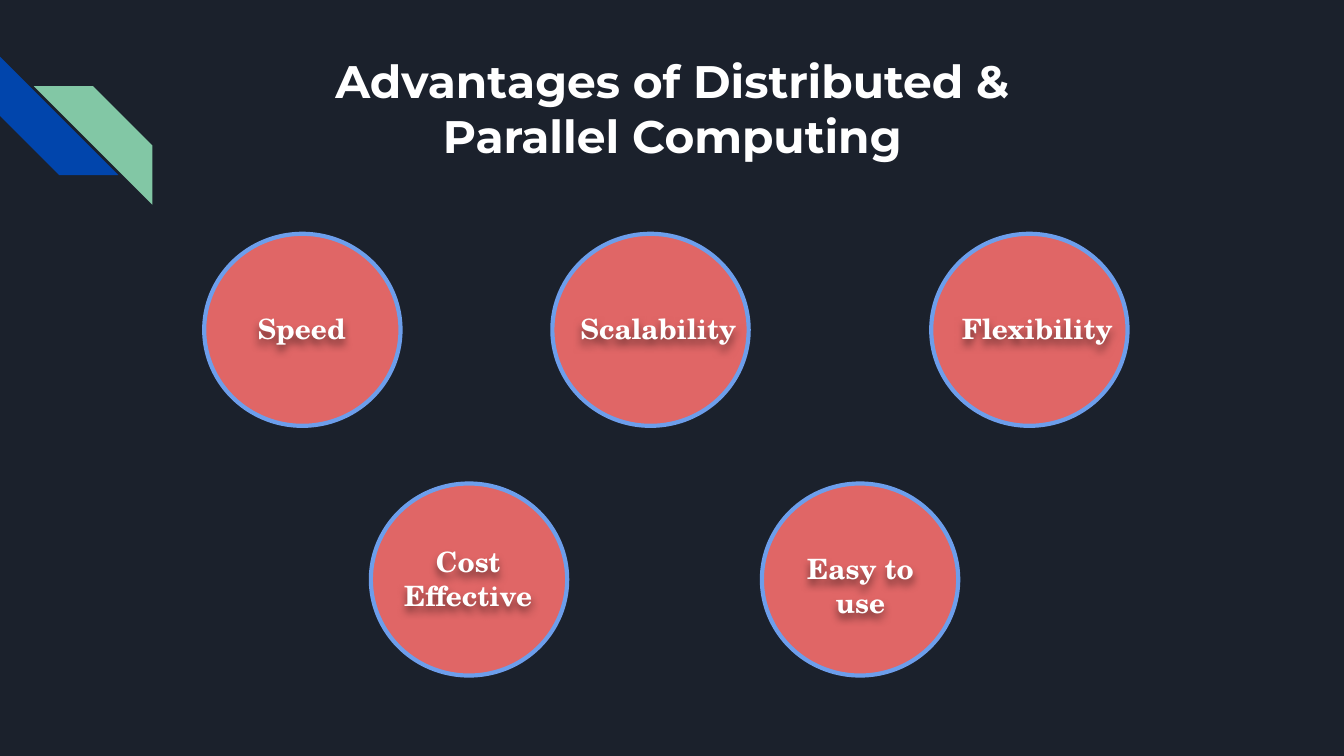
from lxml import etree
from pptx import Presentation
from pptx.dml.color import RGBColor
from pptx.enum.shapes import MSO_SHAPE
from pptx.enum.text import MSO_ANCHOR, PP_ALIGN
from pptx.oxml import parse_xml
from pptx.util import Cm, Pt

NAVY = RGBColor(0x1B, 0x21, 0x2C)
BLUE = RGBColor(0x01, 0x45, 0xAC)
GREEN = RGBColor(0x82, 0xC7, 0xA5)
RED = RGBColor(0xE0, 0x66, 0x66)
SKY = RGBColor(0x6D, 0x9E, 0xEB)
WHITE = RGBColor(0xFF, 0xFF, 0xFF)

CIRCLE_W, CIRCLE_H = 3.71, 3.63
TOP_ROW, BOTTOM_ROW = 4.42, 9.14
ONE_LINE, TWO_LINES = 1.14, 1.8

# circle left and top, lines, label box relative to the circle, alignment
ADVANTAGES = [
    (3.86, TOP_ROW, ["Speed"], (0.76, 1.22, 2.21, ONE_LINE), PP_ALIGN.LEFT),
    (10.44, TOP_ROW, ["Scalability"], (0.28, 1.22, 3.51, ONE_LINE), PP_ALIGN.LEFT),
    (17.6, TOP_ROW, ["Flexibility"], (0.33, 1.22, 3.51, ONE_LINE), PP_ALIGN.LEFT),
    (7.01, BOTTOM_ROW, ["Cost", "Effective"], (0.28, 0.91, 3.12, TWO_LINES), PP_ALIGN.CENTER),
    (14.4, BOTTOM_ROW, ["Easy to use"], (0.38, 1.04, 2.97, TWO_LINES), PP_ALIGN.CENTER),
]

SHADOW = (
    '<a:effectLst xmlns:a="http://schemas.openxmlformats.org/drawingml/2006/main">'
    '<a:outerShdw blurRad="57150" dist="38100" dir="5400000" algn="bl" rotWithShape="0">'
    '<a:srgbClr val="000000"><a:alpha val="50000"/></a:srgbClr>'
    '</a:outerShdw></a:effectLst>'
)


def add_text(slide, left, top, width, height, lines, font_name, size, align):
    box = slide.shapes.add_textbox(Cm(left), Cm(top), Cm(width), Cm(height))
    frame = box.text_frame
    frame.word_wrap = True
    frame.vertical_anchor = MSO_ANCHOR.TOP
    frame.margin_left = frame.margin_right = Cm(0.25)
    frame.margin_top = frame.margin_bottom = Cm(0.25)
    frame.text = "\n".join(lines)
    for paragraph in frame.paragraphs:
        paragraph.alignment = align
        font = paragraph.font
        font.name, font.size, font.bold = font_name, Pt(size), True
        font.color.rgb = WHITE
    return box


def add_corner_stripes(slide, left, top, side):
    """Two diagonal stripes, the green one set off to the lower right."""
    for color, dx, dy in [(BLUE, 0, 0), (GREEN, 0.64, 0.56)]:
        stripe = slide.shapes.add_shape(
            MSO_SHAPE.DIAGONAL_STRIPE, Cm(left + dx), Cm(top + dy), Cm(side), Cm(side))
        stripe.adjustments[0] = 0.5
        stripe.shadow.inherit = False
        stripe.fill.solid()
        stripe.fill.fore_color.rgb = color
        stripe.line.fill.background()
        if color == BLUE:
            stripe.rotation = 270
        else:
            stripe._element.spPr.xfrm.set("flipH", "1")


def add_advantage(slide, left, top, lines, label_box, align):
    circle = slide.shapes.add_shape(
        MSO_SHAPE.OVAL, Cm(left), Cm(top), Cm(CIRCLE_W), Cm(CIRCLE_H))
    circle.shadow.inherit = False
    circle.fill.solid()
    circle.fill.fore_color.rgb = RED
    circle.line.color.rgb = SKY
    circle.line.width = Pt(2.25)
    dx, dy, width, height = label_box
    label = add_text(slide, left + dx, top + dy, width, height,
                     lines, "TeX Gyre Schola", 15, align)
    label._element.spPr.append(parse_xml(SHADOW))


def main():
    prs = Presentation()
    prs.slide_width, prs.slide_height = Cm(25.4), Cm(14.29)
    slide = prs.slides.add_slide(prs.slide_layouts[6])
    slide.background.fill.solid()
    slide.background.fill.fore_color.rgb = NAVY

    add_corner_stripes(slide, 0, 1.07, 2.24)
    add_text(slide, 5.49, 0.76, 14.43, 2.54,
             ["Advantages of Distributed & Parallel Computing"],
             "Montserrat", 24.4, PP_ALIGN.CENTER)
    for advantage in ADVANTAGES:
        add_advantage(slide, *advantage)
    prs.save("out.pptx")


if __name__ == "__main__":
    main()
